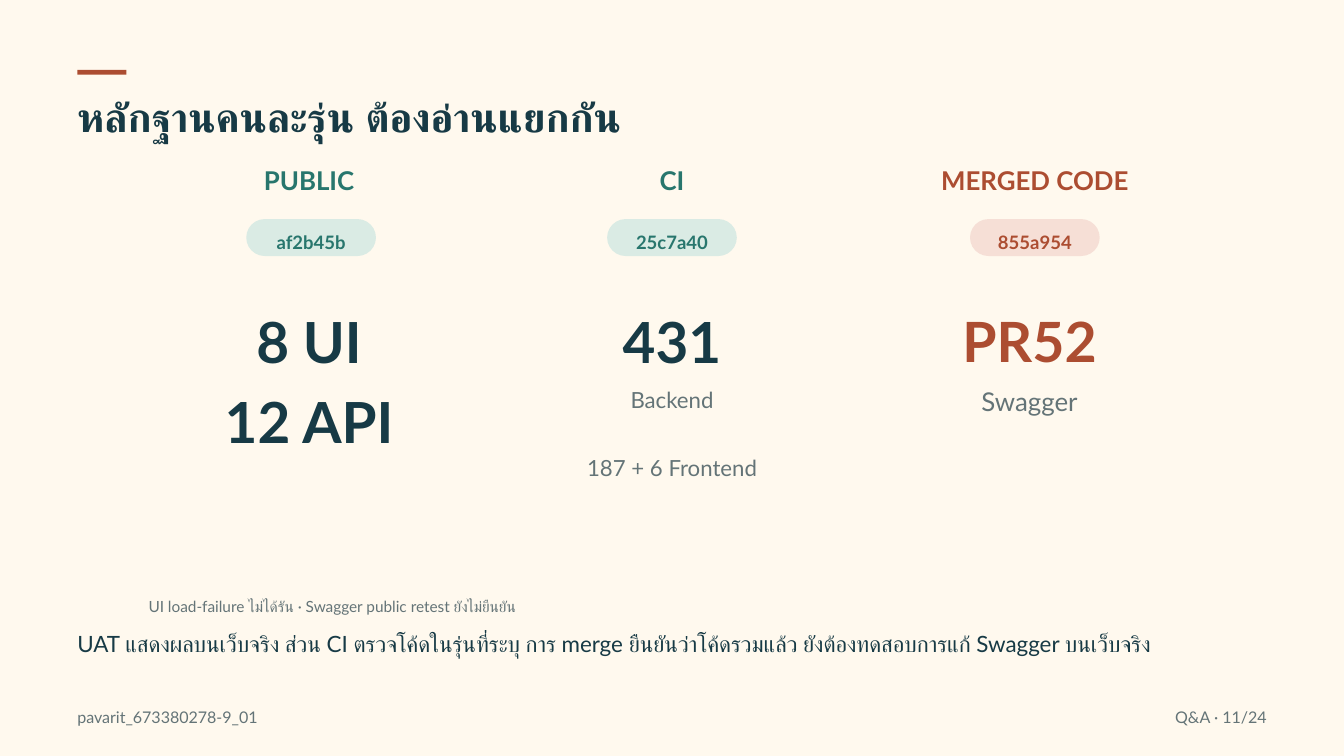
from dataclasses import dataclass

from pptx import Presentation
from pptx.dml.color import RGBColor
from pptx.enum.shapes import MSO_SHAPE
from pptx.enum.text import MSO_ANCHOR, MSO_AUTO_SIZE, PP_ALIGN
from pptx.shapes.autoshape import Shape
from pptx.slide import Slide
from pptx.util import Inches, Pt

RECTANGLE = MSO_SHAPE.RECTANGLE
ROUNDED_RECTANGLE = MSO_SHAPE.ROUNDED_RECTANGLE
TOP = MSO_ANCHOR.TOP
NO_AUTOFIT = MSO_AUTO_SIZE.NONE
LEFT, CENTER, RIGHT = PP_ALIGN.LEFT, PP_ALIGN.CENTER, PP_ALIGN.RIGHT

FONT = "Lato"
COLORS = {
    "cream": "FFF9EE",
    "navy": "173A45",
    "rust": "AC4D31",
    "teal": "28766D",
    "gray": "647477",
    "mint": "DAEBE4",
    "blush": "F6DFD6",
}
MARGIN = 1.15


@dataclass(frozen=True)
class Style:
    size: float
    line_spacing: float
    color: str
    bold: bool = False
    alignment: PP_ALIGN = LEFT


@dataclass(frozen=True)
class Label:
    text: str
    left: float
    top: float
    width: float
    height: float
    style: Style


@dataclass(frozen=True)
class Figure:
    text: str
    top: float
    width: float
    height: float
    style: Style


@dataclass(frozen=True)
class Column:
    heading: str
    commit: str
    color: str
    pill_color: str
    heading_center: float
    pill_center: float
    figure_center: float
    figures: tuple[Figure, ...]


TITLE = Style(43.5, 58.3, "navy", bold=True)
NUMBER = Style(60.7, 81.4, "navy", bold=True, alignment=CENTER)
MERGED_NUMBER = Style(59.4, 79.6, "rust", bold=True, alignment=CENTER)
CAPTION = Style(23.8, 31.8, "gray", alignment=CENTER)
MERGED_CAPTION = Style(27.7, 37.1, "gray", alignment=CENTER)
NOTE = Style(16.5, 22.1, "gray")
SUMMARY = Style(24, 32.2, "navy")
FOOTER = Style(17.2, 23.1, "gray")
PAGE = Style(17.2, 23.1, "gray", alignment=RIGHT)

COLUMNS = (
    Column("PUBLIC", "af2b45b", "teal", "mint", 4.6, 4.63, 4.6, (
        Figure("8 UI", 4.45, 3.21, 1.22, NUMBER),
        Figure("12 API", 5.64, 3.21, 1.22, NUMBER),
    )),
    Column("CI", "25c7a40", "teal", "mint", 10, 10, 10, (
        Figure("431", 4.45, 3.21, 1.22, NUMBER),
        Figure("Backend", 5.7, 3.21, 0.47, CAPTION),
        Figure("187 + 6 Frontend", 6.71, 4.58, 0.47, CAPTION),
    )),
    Column("MERGED CODE", "855a954", "rust", "blush", 15.4, 15.4, 15.32, (
        Figure("PR52", 4.46, 3.21, 1.19, MERGED_NUMBER),
        Figure("Swagger", 5.69, 3.21, 0.56, MERGED_CAPTION),
    )),
)

LABELS = (
    Label("UI load-failure ไม่ได้รัน · Swagger public retest ยังไม่ยืนยัน",
          2.21, 8.86, 15.58, 0.34, NOTE),
    Label("UAT แสดงผลบนเว็บจริง ส่วน CI ตรวจโค้ดในรุ่นที่ระบุ การ merge "
          "ยืนยันว่าโค้ดรวมแล้ว ยังต้องทดสอบการแก้ Swagger บนเว็บจริง",
          MARGIN, 9.33, 17.71, 0.93, SUMMARY),
    Label("pavarit_673380278-9_01", MARGIN, 10.5, 13.02, 0.34, FOOTER),
    Label("Q&A · 11/24", 15.31, 10.5, 3.54, 0.34, PAGE),
)


def color(name: str) -> RGBColor:
    return RGBColor.from_string(COLORS[name])


def write(shape: Shape, text: str, style: Style, top_inset: float = 0) -> None:
    frame = shape.text_frame
    frame.word_wrap = True
    frame.auto_size = NO_AUTOFIT
    frame.vertical_anchor = TOP
    frame.margin_left = frame.margin_right = frame.margin_bottom = 0
    frame.margin_top = Inches(top_inset)
    paragraph = frame.paragraphs[0]
    paragraph.alignment = style.alignment
    paragraph.line_spacing = Pt(style.line_spacing)
    paragraph.space_before = Pt(0)
    run = paragraph.add_run()
    run.text = text
    run.font.name = FONT
    run.font.size = Pt(style.size)
    run.font.bold = style.bold
    run.font.color.rgb = color(style.color)


def add_title(slide: Slide, text: str) -> None:
    title = slide.shapes.title
    title.left, title.top = Inches(MARGIN), Inches(1.29)
    title.width, title.height = Inches(17.81), Inches(0.87)
    write(title, text, TITLE)


def add_label(slide: Slide, label: Label) -> None:
    box = slide.shapes.add_textbox(Inches(label.left), Inches(label.top),
                                   Inches(label.width), Inches(label.height))
    write(box, label.text, label.style)


def add_block(slide: Slide, kind: MSO_SHAPE, left: float, top: float,
              width: float, height: float, fill: str) -> Shape:
    shape = slide.shapes.add_shape(kind, Inches(left), Inches(top),
                                   Inches(width), Inches(height))
    shape.shadow.inherit = False
    shape.fill.solid()
    shape.fill.fore_color.rgb = color(fill)
    shape.line.fill.background()
    return shape


def add_column(slide: Slide, column: Column) -> None:
    heading_style = Style(27.7, 37.1, column.color, bold=True, alignment=CENTER)
    heading_width = 4.77
    add_label(slide, Label(column.heading, column.heading_center - heading_width / 2,
                           2.39, heading_width, 0.56, heading_style))

    pill_width = 1.93
    pill = add_block(slide, ROUNDED_RECTANGLE, column.pill_center - pill_width / 2,
                     3.26, pill_width, 0.55, column.pill_color)
    pill.adjustments[0] = 0.5
    pill_style = Style(19.8, 26.5, column.color, bold=True, alignment=CENTER)
    write(pill, column.commit, pill_style, top_inset=0.06)

    for figure in column.figures:
        add_label(slide, Label(figure.text, column.figure_center - figure.width / 2,
                               figure.top, figure.width, figure.height, figure.style))


def main() -> None:
    presentation = Presentation()
    presentation.slide_width = Inches(20)
    presentation.slide_height = Inches(11.25)
    title_only = presentation.slide_layouts[5]
    slide = presentation.slides.add_slide(title_only)
    slide.background.fill.solid()
    slide.background.fill.fore_color.rgb = color("cream")

    add_block(slide, RECTANGLE, MARGIN, 1.04, 0.73, 0.07, "rust")
    add_title(slide, "หลักฐานคนละรุ่น ต้องอ่านแยกกัน")
    for column in COLUMNS:
        add_column(slide, column)
    for label in LABELS:
        add_label(slide, label)
    presentation.save("out.pptx")


if __name__ == "__main__":
    main()
